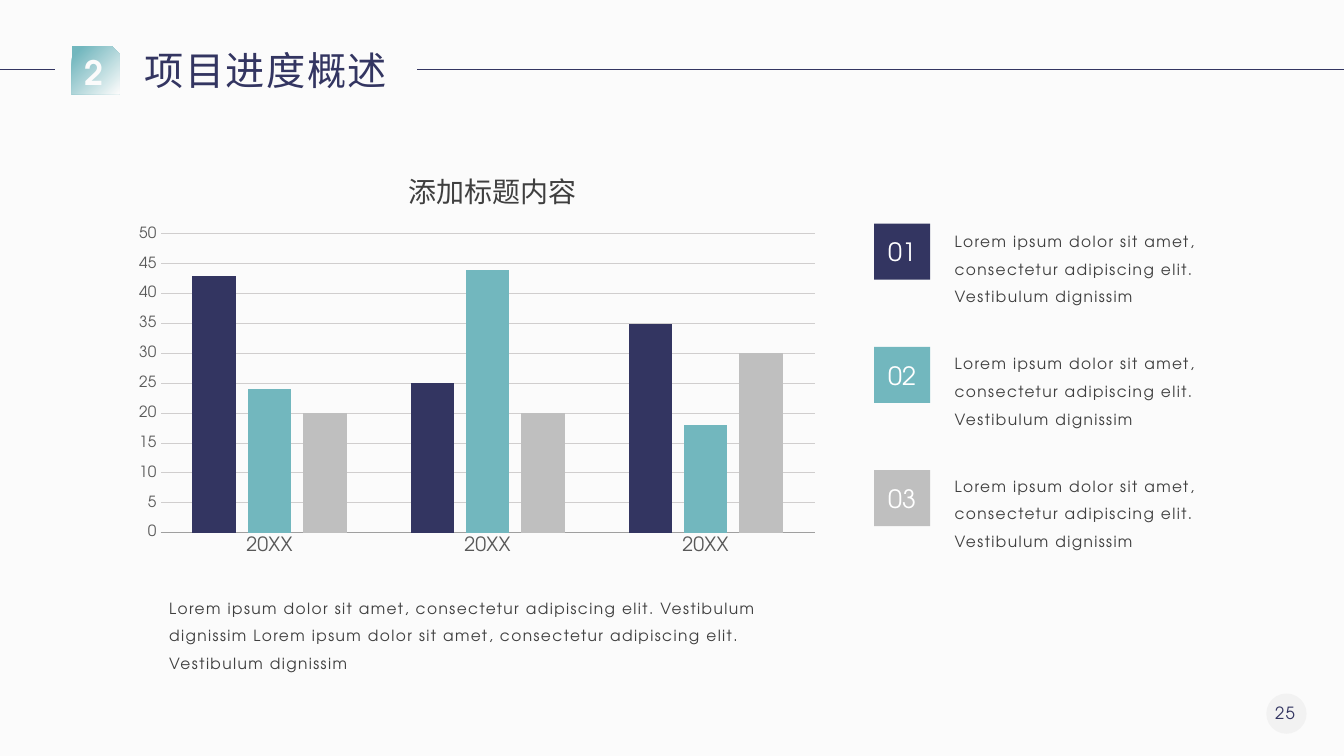
from dataclasses import dataclass
from typing import Any, NamedTuple

from lxml.etree import SubElement
from pptx import Presentation
from pptx.chart.data import CategoryChartData
from pptx.dml.color import RGBColor
from pptx.enum.chart import XL_CHART_TYPE, XL_TICK_MARK
from pptx.enum.shapes import MSO_CONNECTOR, MSO_SHAPE
from pptx.enum.text import MSO_ANCHOR, MSO_AUTO_SIZE, PP_ALIGN
from pptx.oxml.ns import qn
from pptx.util import Emu, Inches, Pt


@dataclass(frozen=True)
class Theme:
    paper: str = "FBFBFB"
    navy: str = "333561"
    teal: str = "72B7BE"
    silver: str = "BFBFBF"
    body: str = "3F3F3F"
    white: str = "FFFFFF"
    label: str = "595959"
    axis: str = "9F9F9F"
    grid: str = "D0CECE"
    disc: str = "A6A6A6"
    latin: str = "TeX Gyre Adventor"
    cjk: str = "Noto Sans CJK SC"
    heading_size: int = 28
    badge_size: int = 24
    chart_title_size: int = 20
    number_size: int = 18
    category_size: int = 14
    page_size: int = 12
    body_size: int = 11


class Box(NamedTuple):
    left: float
    top: float
    width: float
    height: float


class Style(NamedTuple):
    size: int
    color: str
    face: str
    align: PP_ALIGN = PP_ALIGN.LEFT
    anchor: MSO_ANCHOR = MSO_ANCHOR.TOP
    bold: bool = False
    tracking: int = 0
    leading: float = 1.0
    wrap: bool = True
    grow: bool = True


class Milestone(NamedTuple):
    number: str
    color: str
    values: tuple[int, ...]


THEME = Theme()
LOREM = "Lorem ipsum dolor sit amet, consectetur adipiscing elit. Vestibulum dignissim"
MILESTONES = (
    Milestone("01", THEME.navy, (43, 25, 35)),
    Milestone("02", THEME.teal, (24, 44, 18)),
    Milestone("03", THEME.silver, (20, 20, 30)),
)
BODY = Style(THEME.body_size, THEME.body, THEME.latin, tracking=100, leading=1.5)
HEADING = Style(THEME.heading_size, THEME.navy, THEME.cjk, anchor=MSO_ANCHOR.MIDDLE,
                tracking=100, wrap=False)
CHART_TITLE = Style(THEME.chart_title_size, THEME.body, THEME.cjk, PP_ALIGN.CENTER)
NUMBER = Style(THEME.number_size, THEME.white, THEME.latin, PP_ALIGN.CENTER,
               MSO_ANCHOR.MIDDLE, grow=False)
BADGE = NUMBER._replace(size=THEME.badge_size, color=THEME.paper, bold=True)
PAGE = NUMBER._replace(size=THEME.page_size, color=THEME.navy, tracking=100)

deck = Presentation()
deck.slide_width, deck.slide_height = Inches(13.33), Inches(7.5)
slide = deck.slides.add_slide(deck.slide_layouts[6])
slide.background.fill.solid()
slide.background.fill.fore_color.rgb = RGBColor.from_string(THEME.paper)


def across(percent: float) -> Emu:
    return Emu(round(deck.slide_width * percent / 100))


def down(percent: float) -> Emu:
    return Emu(round(deck.slide_height * percent / 100))


def place(box: Box) -> tuple[Emu, Emu, Emu, Emu]:
    return across(box.left), down(box.top), across(box.width), down(box.height)


def apply(target: Any, values: dict[str, Any]) -> None:
    for name, value in values.items():
        setattr(target, name, value)


def paint(fill: Any, color: str) -> None:
    fill.solid()
    fill.fore_color.rgb = RGBColor.from_string(color)


def write(frame: Any, text: str, style: Style) -> None:
    apply(frame, {
        "word_wrap": style.wrap,
        "vertical_anchor": style.anchor,
        "auto_size": MSO_AUTO_SIZE.SHAPE_TO_FIT_TEXT if style.grow else MSO_AUTO_SIZE.NONE,
    })
    paragraph = frame.paragraphs[0]
    apply(paragraph, {"alignment": style.align, "line_spacing": style.leading})
    run = paragraph.add_run()
    run.text = text
    apply(run.font, {"size": Pt(style.size), "bold": style.bold, "name": style.face})
    run.font.color.rgb = RGBColor.from_string(style.color)
    properties = run.font._element
    properties.set("spc", str(style.tracking))
    SubElement(properties, qn("a:ea")).set("typeface", style.face)


def add_text(box: Box, text: str, style: Style) -> None:
    write(slide.shapes.add_textbox(*place(box)).text_frame, text, style)


def add_block(kind: MSO_SHAPE, box: Box, color: str) -> Any:
    block = slide.shapes.add_shape(kind, *place(box))
    block.shadow.inherit = False
    block.line.fill.background()
    paint(block.fill, color)
    return block


def add_rule(start: float, end: float, height: float) -> None:
    rule = slide.shapes.add_connector(
        MSO_CONNECTOR.STRAIGHT, across(start), down(height), across(end), down(height))
    rule.line.width = Pt(1)
    paint(rule.line.fill, THEME.navy)
    SubElement(rule._element.spPr, qn("a:effectLst"))


def style_axis(axis: Any, size: int) -> None:
    apply(axis, {"major_tick_mark": XL_TICK_MARK.NONE, "minor_tick_mark": XL_TICK_MARK.NONE})
    apply(axis.tick_labels.font, {"size": Pt(size), "name": THEME.latin})
    axis.tick_labels.font.color.rgb = RGBColor.from_string(THEME.label)


def add_progress_chart(box: Box) -> None:
    progress = CategoryChartData()
    progress.categories = ["20XX"] * 3
    for position, milestone in enumerate(MILESTONES, 1):
        progress.add_series(f"Series {position}", milestone.values)
    chart = slide.shapes.add_chart(
        XL_CHART_TYPE.COLUMN_CLUSTERED, *place(box), progress).chart
    apply(chart, {"has_legend": False, "has_title": False})
    apply(chart.font, {"size": Pt(10), "name": THEME.latin})
    plot = chart.plots[0]
    apply(plot, {"gap_width": 147, "overlap": -27, "vary_by_categories": False})
    for series, milestone in zip(plot.series, MILESTONES):
        paint(series.format.fill, milestone.color)
    years, amounts = chart.category_axis, chart.value_axis
    style_axis(years, THEME.category_size)
    style_axis(amounts, THEME.body_size)
    apply(amounts, {"minimum_scale": 0, "maximum_scale": 50, "major_unit": 5,
                    "has_major_gridlines": True})
    amounts.format.line.fill.background()
    for line, color in ((years.format.line, THEME.axis),
                        (amounts.major_gridlines.format.line, THEME.grid)):
        line.width = Pt(0.75)
        paint(line.fill, color)


page_disc = add_block(MSO_SHAPE.OVAL, Box(94.22, 91.73, 3, 5.33), THEME.disc)
disc_color = next(page_disc._element.spPr.iter(qn("a:srgbClr")))
SubElement(disc_color, qn("a:alpha")).set("val", "10000")
add_text(Box(93.55, 92.27, 4.13, 4), "25", PAGE)

add_rule(0, 4.13, 9.2)
add_rule(31.06, 100, 9.2)
section_badge = add_block(MSO_SHAPE.SNIP_1_RECTANGLE, Box(5.33, 6.1, 3.57, 6.35), THEME.teal)
section_badge.fill.gradient()
section_badge.fill.gradient_angle = 315
for stop, (share, color) in zip(section_badge.fill.gradient_stops,
                                ((0.11, THEME.teal), (0.99, THEME.paper))):
    stop.position = share
    stop.color.rgb = RGBColor.from_string(color)
write(section_badge.text_frame, "2", BADGE)
add_text(Box(10.05, 5.47, 19.8, 7.6), "项目进度概述", HEADING)

add_text(Box(24.68, 22.4, 23.93, 5.87), "添加标题内容", CHART_TITLE)
add_progress_chart(Box(9.3, 29.07, 52.36, 45.33))
add_text(Box(11.85, 77.33, 47.11, 12.4), f"{LOREM} {LOREM}", BODY)

for row, milestone in enumerate(MILESTONES):
    tile = add_block(MSO_SHAPE.RECTANGLE, Box(65.04, 29.6 + row * 16.3, 4.17, 7.41),
                     milestone.color)
    write(tile.text_frame, milestone.number, NUMBER)
    add_text(Box(70.29, 28.8 + row * 16.2, 20.48, 12.4), LOREM, BODY)

deck.save("out.pptx")
